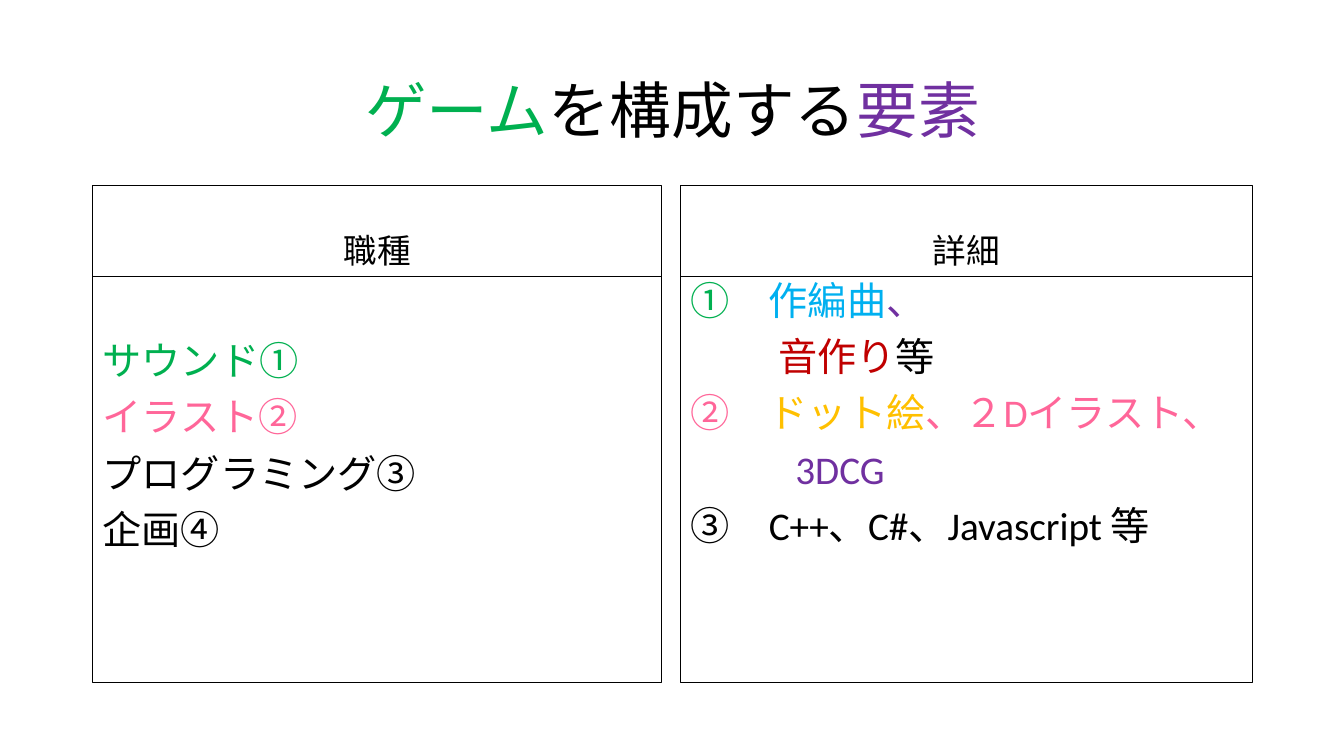
from pptx import Presentation
from pptx.dml.color import RGBColor
from pptx.enum.shapes import MSO_SHAPE as Shape
from pptx.enum.text import MSO_ANCHOR as Anchor, PP_ALIGN as Align
from pptx.util import Inches, Pt

BLACK, GREEN, PURPLE, PINK = "000000", "00B050", "7030A0", "FF6699"
BLUE, RED, GOLD = "00B0F0", "C00000", "FFC000"

# A line is (left indent in inches, [(text, colour), ...]).
TITLE = [(0, [("ゲーム", GREEN), ("を構成する", BLACK), ("要素", PURPLE)])]
JOBS = [
    (0, [("サウンド①", GREEN)]),
    (0, [("イラスト②", PINK)]),
    (0, [("プログラミング③", BLACK)]),
    (0, [("企画④", BLACK)]),
]
DETAILS = [
    (0, [("①　", GREEN), ("作編曲", BLUE), ("、", PURPLE)]),
    (0.87, [("音作り", RED), ("等", BLACK)]),
    (0, [("②　", PINK), ("ドット絵", GOLD), ("、２Dイラスト、", PINK)]),
    (1.04, [("3DCG", PURPLE)]),
    (0, [("③　C++、C#、Javascript 等", BLACK)]),
]
# Heading, lines, left, width, top inset of the lines
COLUMNS = [
    ("職種", JOBS, 0.92, 5.64, 0.65),
    ("詳細", DETAILS, 6.75, 5.67, 0.05),
]
HEAD_TOP, HEAD_HEIGHT, BODY_HEIGHT = 1.84, 0.9, 4.03


def color(value):
    """Turn a hex string into a colour."""
    return RGBColor.from_string(value)


def write(box, lines, size, font="Calibri", align=Align.LEFT,
          anchor=Anchor.TOP, inset=0.05, before=10):
    """Fill a box with lines of coloured spans."""
    frame = box.text_frame
    frame.word_wrap = True
    frame.vertical_anchor = anchor
    frame.margin_top = Inches(inset)
    for index, (indent, spans) in enumerate(lines):
        para = frame.add_paragraph() if index else frame.paragraphs[0]
        para.alignment = align
        para.line_spacing = 0.9
        para.space_before = Pt(before)
        if indent:
            para._p.get_or_add_pPr().set("marL", str(Inches(indent)))
        for text, value in spans:
            span = para.add_run()
            span.text = text
            span.font.size = Pt(size)
            span.font.name = font
            span.font.color.rgb = color(value)


def add_frame(page, left, top, width, height):
    """Add an unfilled rectangle with a thin black outline."""
    box = page.shapes.add_shape(Shape.RECTANGLE, Inches(left), Inches(top),
                                Inches(width), Inches(height))
    box.shadow.inherit = False
    box.fill.background()
    box.line.color.rgb = color(BLACK)
    box.line.width = Pt(0.75)
    return box


deck = Presentation()
deck.slide_width, deck.slide_height = Inches(13.33), Inches(7.5)
page = deck.slides.add_slide(deck.slide_layouts[6])

title = page.shapes.add_textbox(Inches(0.92), Inches(0.4), Inches(11.5), Inches(1.45))
write(title, TITLE, 44, "Cambria", Align.CENTER, Anchor.MIDDLE, before=0)

for heading, lines, left, width, inset in COLUMNS:
    head = add_frame(page, left, HEAD_TOP, width, HEAD_HEIGHT)
    write(head, [(0, [(heading, BLACK)])], 24, align=Align.CENTER, anchor=Anchor.BOTTOM)
    body = add_frame(page, left, HEAD_TOP + HEAD_HEIGHT, width, BODY_HEIGHT)
    write(body, lines, 28, inset=inset)

deck.save("out.pptx")
